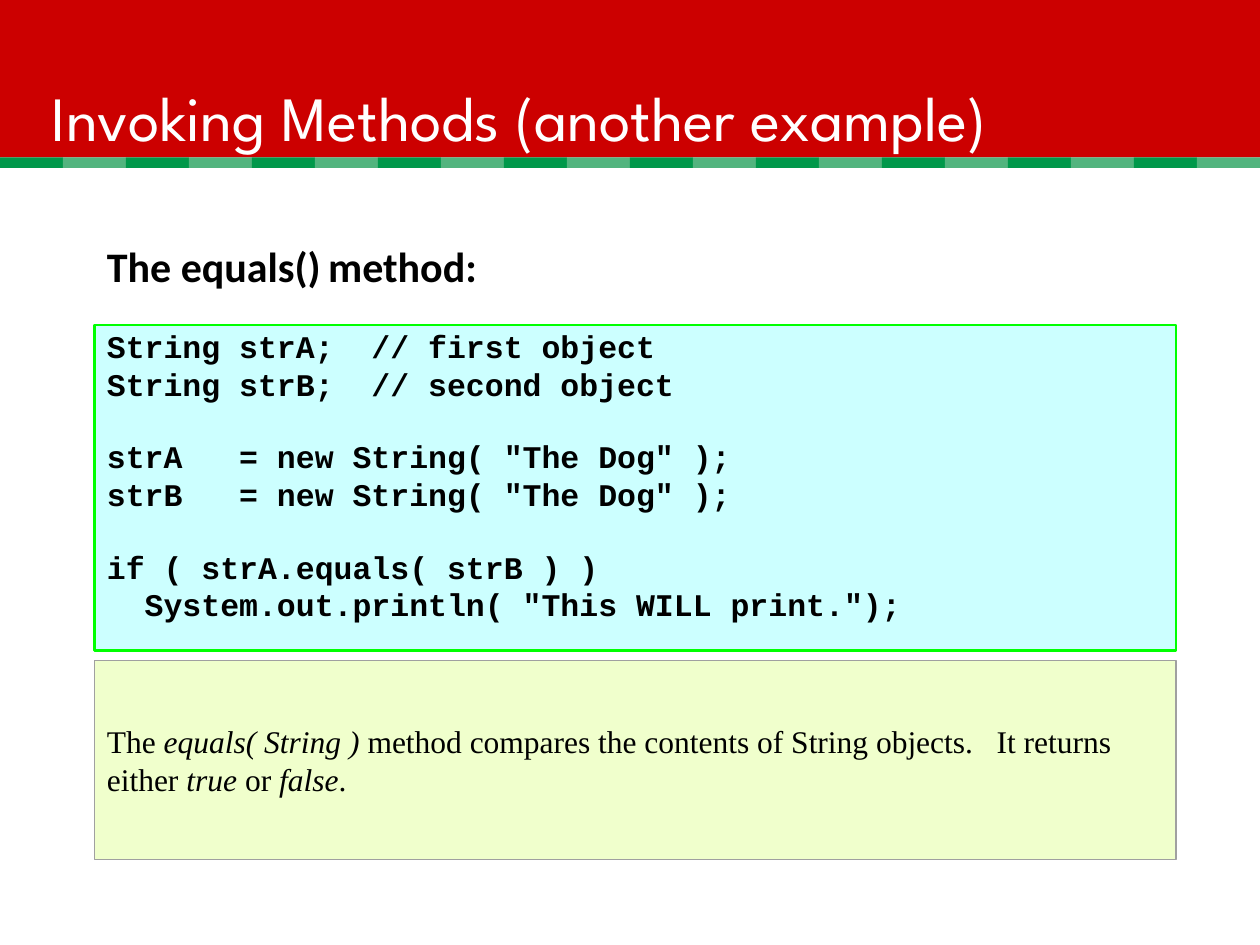
from dataclasses import dataclass

from pptx import Presentation
from pptx.dml.color import RGBColor
from pptx.enum.shapes import MSO_SHAPE
from pptx.enum.text import MSO_ANCHOR, PP_ALIGN
from pptx.util import Pt


@dataclass(frozen=True)
class Theme:
    """Colours, fonts and type sizes of the slide."""
    banner: str = "CC0000"
    stripes: tuple = ("00984A", "52B47E")
    code_fill: str = "CCFFFF"
    code_line: str = "00FF00"
    note_fill: str = "F0FFCC"
    note_line: str = "A0A0A0"
    light: str = "FFFFFF"
    dark: str = "000000"
    title_font: str = "League Spartan"
    heading_font: str = "Calibri"
    code_font: str = "Courier New"
    note_font: str = "Times New Roman"
    title_size: int = 36
    heading_size: int = 24
    body_size: int = 18


THEME = Theme()
LINE_GAP = 2
BLOCK_GAP = 22.2
CODE_INDENT = 21.6
CODE_LINES = [
    ("String strA;  // first object", 0, 0),
    ("String strB;  // second object", LINE_GAP, 0),
    ('strA   = new String( "The Dog" );', BLOCK_GAP, 0),
    ('strB   = new String( "The Dog" );', LINE_GAP, 0),
    ("if ( strA.equals( strB ) )", BLOCK_GAP, 0),
    ('System.out.println( "This WILL print.");', LINE_GAP, CODE_INDENT),
]
NOTE_SPANS = [
    ("The ", False),
    ("equals( String )", True),
    (" method compares the contents of String objects.   It returns either ", False),
    ("true", True),
    (" or ", False),
    ("false", True),
    (".", False),
]


def add_panel(page, bounds, fill, line=None, width=0):
    """Add a filled rectangle with an optional outline."""
    panel = page.shapes.add_shape(MSO_SHAPE.RECTANGLE, *map(Pt, bounds))
    panel.shadow.inherit = False
    panel.fill.solid()
    panel.fill.fore_color.rgb = RGBColor.from_string(fill)
    if line:
        panel.line.color.rgb = RGBColor.from_string(line)
        panel.line.width = Pt(width)
    else:
        panel.line.fill.background()
    return panel


def add_text_box(page, bounds):
    """Add an empty text box."""
    return page.shapes.add_textbox(*map(Pt, bounds))


def prepare_frame(box, anchor=MSO_ANCHOR.MIDDLE):
    """Make the text of a box wrap and anchor it."""
    frame = box.text_frame
    frame.word_wrap = True
    frame.vertical_anchor = anchor
    return frame


def style_paragraph(para, font, size, color=THEME.dark, bold=False):
    """Set the alignment and font of a paragraph."""
    para.alignment = PP_ALIGN.LEFT
    para.font.name = font
    para.font.size = Pt(size)
    para.font.bold = bold
    para.font.color.rgb = RGBColor.from_string(color)


def add_banner(page):
    """Add the title banner and the striped band below it."""
    add_panel(page, (0, 0, 720, 90), THEME.banner)
    for index in range(20):
        color = THEME.stripes[index % len(THEME.stripes)]
        add_panel(page, (index * 36, 90, 36, 6), color)


def add_title(page):
    """Add the slide title."""
    para = prepare_frame(add_text_box(page, (22.5, 21.6, 697.5, 90))).paragraphs[0]
    para.text = "Invoking Methods (another example)"
    style_paragraph(para, THEME.title_font, THEME.title_size, THEME.light)


def add_heading(page):
    """Add the heading above the code."""
    para = prepare_frame(add_text_box(page, (54, 111.6, 612, 84))).paragraphs[0]
    para.line_spacing = 0.9
    style_paragraph(para, THEME.heading_font, THEME.heading_size, bold=True)
    for text, size in (("The equals()", THEME.heading_size),
                       (" ", THEME.body_size),
                       ("method:", THEME.heading_size)):
        span = para.add_run()
        span.text = text
        span.font.size = Pt(size)


def add_code(page):
    """Add the code panel."""
    panel = add_panel(page, (54, 185.75, 618, 186), THEME.code_fill, THEME.code_line, 1.25)
    frame = prepare_frame(panel, MSO_ANCHOR.TOP)
    for index, (text, gap, indent) in enumerate(CODE_LINES):
        para = frame.add_paragraph() if index else frame.paragraphs[0]
        para.text = text
        para.line_spacing = 0.9
        para.space_before = Pt(gap)
        para._p.get_or_add_pPr().set("marL", str(Pt(indent)))
        style_paragraph(para, THEME.code_font, THEME.body_size, bold=True)


def add_note(page):
    """Add the explanation panel."""
    panel = add_panel(page, (54, 377.25, 618, 113.75), THEME.note_fill, THEME.note_line, 0.75)
    para = prepare_frame(panel).paragraphs[0]
    style_paragraph(para, THEME.note_font, THEME.body_size)
    for text, italic in NOTE_SPANS:
        span = para.add_run()
        span.text = text
        span.font.italic = italic


def main():
    """Build and save the deck."""
    deck = Presentation()
    deck.slide_width, deck.slide_height = Pt(720), Pt(540)
    page = deck.slides.add_slide(deck.slide_layouts[6])
    for add_part in (add_banner, add_title, add_heading, add_code, add_note):
        add_part(page)
    deck.save("out.pptx")


if __name__ == "__main__":
    main()
